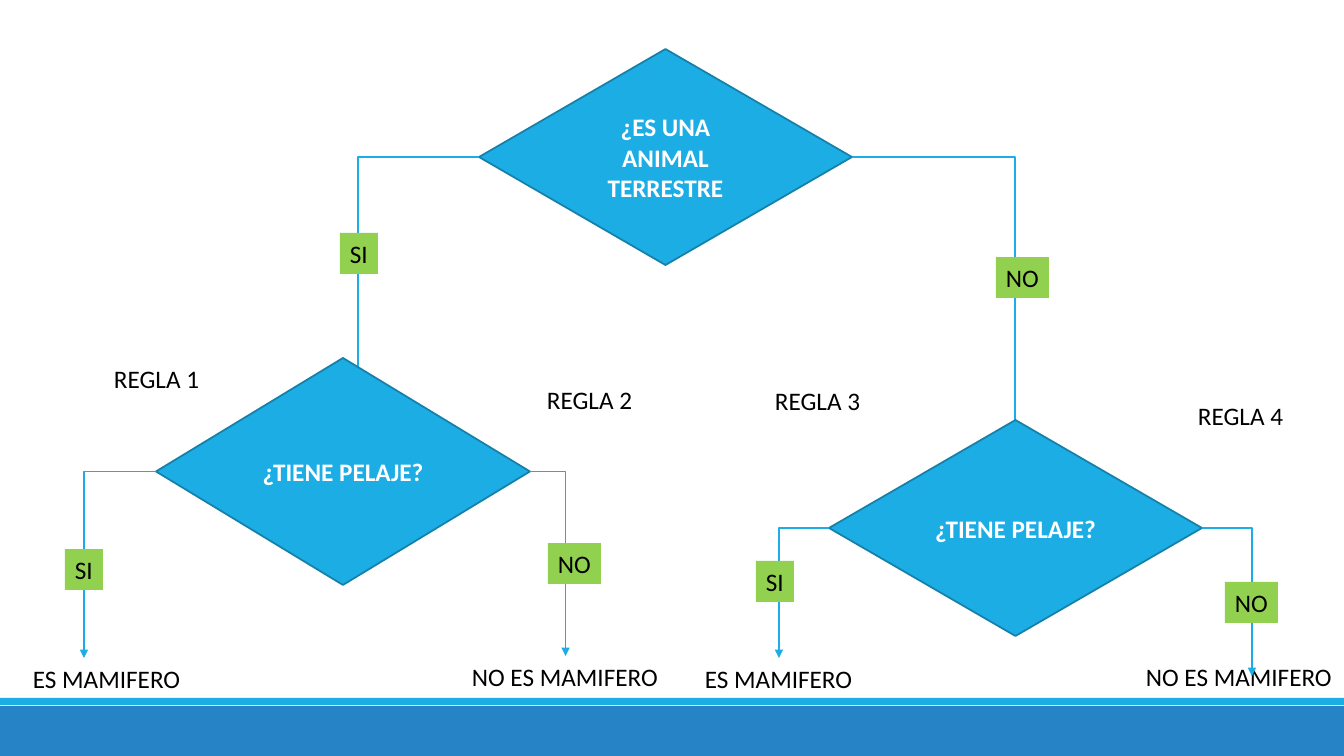
from lxml import etree
from pptx import Presentation
from pptx.dml.color import RGBColor
from pptx.enum.shapes import MSO_CONNECTOR, MSO_SHAPE
from pptx.enum.text import MSO_ANCHOR, MSO_AUTO_SIZE, PP_ALIGN
from pptx.oxml.ns import qn
from pptx.util import Emu, Pt

ELBOW = MSO_CONNECTOR.ELBOW
DIAMOND, RECTANGLE = MSO_SHAPE.DIAMOND, MSO_SHAPE.RECTANGLE
LEFT, CENTER, MIDDLE = PP_ALIGN.LEFT, PP_ALIGN.CENTER, MSO_ANCHOR.MIDDLE
TOP_SITE, LEFT_SITE, RIGHT_SITE = 0, 1, 3

CYAN = RGBColor(0x1C, 0xAD, 0xE4)
DARK_CYAN = RGBColor(0x15, 0x80, 0xA9)
BLUE = RGBColor(0x26, 0x83, 0xC6)
GREEN = RGBColor(0x92, 0xD0, 0x50)
BLACK = RGBColor(0, 0, 0)
WHITE = RGBColor(0xFF, 0xFF, 0xFF)

PX = 914400 / 100.8
LABEL_HEIGHT = 41

prs = Presentation()
prs.slide_width, prs.slide_height = Emu(round(1344 * PX)), Emu(round(756 * PX))
slide = prs.slides.add_slide(prs.slide_layouts[6])
shapes = slide.shapes


def add_box(kind, box, fill=None, outline=None):
    shape = shapes.add_shape(kind, *(Emu(round(v * PX)) for v in box))
    shape.shadow.inherit = False
    if fill is None:
        shape.fill.background()
    else:
        shape.fill.solid()
        shape.fill.fore_color.rgb = fill
    if outline is None:
        shape.line.fill.background()
    else:
        shape.line.color.rgb = outline
        shape.line.width = Pt(1.25)
    return shape


def write(shape, text, color=BLACK, bold=False, align=LEFT, wrap=False):
    frame = shape.text_frame
    frame.word_wrap = wrap
    frame.auto_size = MSO_AUTO_SIZE.NONE if wrap else MSO_AUTO_SIZE.SHAPE_TO_FIT_TEXT
    frame.vertical_anchor = MIDDLE if wrap else MSO_ANCHOR.TOP
    paragraph = frame.paragraphs[0]
    paragraph.alignment = align
    run = paragraph.add_run()
    run.text = text
    for name, value in {"name": "Calibri", "size": Pt(18), "bold": bold}.items():
        setattr(run.font, name, value)
    run.font.color.rgb = color


# Footer bands
for band, color in (((0, 706, 1344, 50), BLUE), ((0, 698, 1344, 7), CYAN)):
    add_box(RECTANGLE, band, color)

# Outcomes
outcomes = []
for text, x, y, width in (
    ("ES MAMIFERO", 23, 658, 168),
    ("NO ES MAMIFERO", 462, 656, 207),
    ("ES MAMIFERO", 695, 658, 168),
    ("NO ES MAMIFERO", 1136, 656, 207),
):
    outcome = add_box(RECTANGLE, (x, y, width, LABEL_HEIGHT))
    write(outcome, text)
    outcomes.append(outcome)

# Questions, each with its SI branch on the left and NO branch on the right;
# a branch is the point it reaches and the outcome it joins, if any
questions = (
    ("¿ES UNA ANIMAL TERRESTRE", (479, 49, 373, 216),
     ((358, 428, None), (1015, 437, None))),
    ("¿TIENE PELAJE?", (156, 358, 374, 227),
     ((84, 658, None), (566, 656, outcomes[1]))),
    ("¿TIENE PELAJE?", (829, 420, 373, 216),
     ((779, 658, outcomes[2]), (1252, 676, None))),
)
for text, box, branches in questions:
    question = add_box(DIAMOND, box, CYAN, DARK_CYAN)
    write(question, text, WHITE, True, CENTER, True)
    x, y, width, height = box
    starts = ((LEFT_SITE, x), (RIGHT_SITE, x + width))
    for (site, start_x), (end_x, end_y, outcome) in zip(starts, branches):
        ends = (start_x, y + height / 2, end_x, end_y)
        arrow = shapes.add_connector(ELBOW, *(Emu(round(v * PX)) for v in ends))
        arrow.begin_connect(question, site)
        if outcome is not None:
            arrow.end_connect(outcome, TOP_SITE)
        arrow.line.color.rgb = CYAN
        arrow.line.width = Pt(1)
        properties = arrow._element.spPr
        properties.find(qn("a:prstGeom")).set("prst", "bentConnector2")
        etree.SubElement(properties.find(qn("a:ln")), qn("a:tailEnd"), type="triangle")
        etree.SubElement(properties, qn("a:effectLst"))

# Answers on the branches
answer_widths = {"SI": 38, "NO": 53}
for text, x, y in (
    ("SI", 340, 233), ("NO", 996, 257), ("SI", 65, 549),
    ("NO", 548, 543), ("NO", 1225, 582), ("SI", 756, 561),
):
    answer = add_box(RECTANGLE, (x, y, answer_widths[text], LABEL_HEIGHT), GREEN)
    write(answer, text)

# Rule names
for number, (x, y) in enumerate(((104, 358), (537, 379), (765, 380), (1188, 395)), 1):
    rule = add_box(RECTANGLE, (x, y, 107, LABEL_HEIGHT))
    write(rule, f"REGLA {number}")

prs.save("out.pptx")
